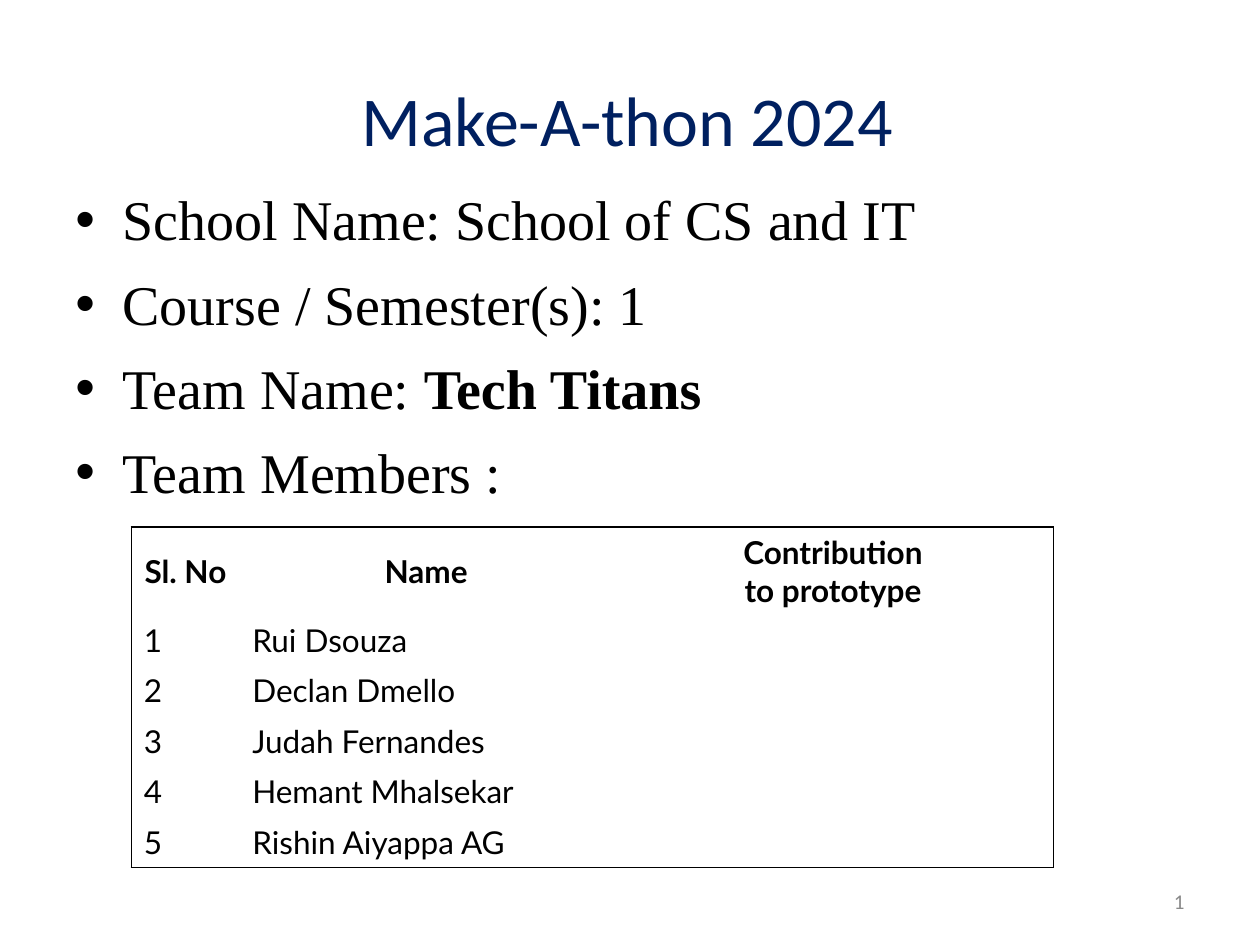
import pptx
import pptx.dml.color
import pptx.enum.text
import pptx.oxml
import pptx.util

Pt = pptx.util.Pt
ALIGN = pptx.enum.text.PP_ALIGN
ANCHOR = pptx.enum.text.MSO_ANCHOR
NAMESPACE = 'xmlns:a="http://schemas.openxmlformats.org/drawingml/2006/main"'

TITLE = {"name": "Calibri", "size": Pt(40), "color": "002060"}
BODY = {"name": "Times New Roman", "size": Pt(32), "color": "000000"}
NUMBER = {"name": "Calibri", "size": Pt(12), "color": "898989"}
CELL = {"name": "Lato", "size": Pt(18), "color": "000000"}

DETAILS = [
    ("School Name: School of CS and IT", ""),
    ("Course / Semester(s): 1", ""),
    ("Team Name: ", "Tech Titans"),
    ("Team Members :", ""),
]
HEADINGS = ["Sl. No", "Name", "Contribution\nto prototype"]
MEMBERS = ["Rui Dsouza", "Declan Dmello", "Judah Fernandes",
           "Hemant Mhalsekar", "Rishin Aiyappa AG"]


def rgb(color):
    return pptx.dml.color.RGBColor.from_string(color)


def add_span(para, text, look, bold=False):
    span = para.add_run()
    span.text = text
    for key, value in {**look, "bold": bold}.items():
        if key == "color":
            span.font.color.rgb = rgb(value)
        else:
            setattr(span.font, key, value)


def add_box(page, left, top, width, height, wrap=True):
    box = page.shapes.add_textbox(Pt(left), Pt(top), Pt(width), Pt(height))
    box.text_frame.word_wrap = wrap
    return box.text_frame


def add_line(page, place, text, look, align, anchor):
    """Add a text box that holds a single line."""
    frame = add_box(page, *place, wrap=False)
    frame.vertical_anchor = anchor
    para = frame.paragraphs[0]
    para.alignment = align
    add_span(para, text, look)


def add_bullets(page, place, items):
    frame = add_box(page, *place)
    for index, (label, strong) in enumerate(items):
        para = frame.add_paragraph() if index else frame.paragraphs[0]
        para.space_before = Pt(9.6)
        properties = para._p.get_or_add_pPr()
        properties.set("marL", str(Pt(27)))
        properties.set("indent", str(Pt(-27)))
        properties.append(pptx.oxml.parse_xml(f'<a:buFont {NAMESPACE} typeface="Arial"/>'))
        properties.append(pptx.oxml.parse_xml(f'<a:buChar {NAMESPACE} char="•"/>'))
        add_span(para, label, BODY)
        if strong:
            add_span(para, strong, BODY, bold=True)


def set_borders(cell, drawn):
    """Draw the named sides (L, R, T, B) and clear the others."""
    properties = cell._tc.get_or_add_tcPr()
    for position, side in enumerate("LRTB"):
        paint = ('<a:solidFill><a:srgbClr val="000000"/></a:solidFill>'
                 if side in drawn else "<a:noFill/>")
        properties.insert(position, pptx.oxml.parse_xml(
            f'<a:ln{side} {NAMESPACE} w="{Pt(1)}">{paint}</a:ln{side}>'))


def fill_cell(cell, text, heading):
    cell.fill.background()
    if heading:
        cell.vertical_anchor = ANCHOR.MIDDLE
    for index, line in enumerate(text.split("\n")):
        frame = cell.text_frame
        para = frame.add_paragraph() if index else frame.paragraphs[0]
        para.alignment = ALIGN.CENTER if heading else ALIGN.LEFT
        add_span(para, line, CELL, bold=heading)


def add_members(page, left, top, widths, heights, rows):
    """Add the team table, ruled only around its outside."""
    table = page.shapes.add_table(len(rows), len(widths), Pt(left), Pt(top),
                                  Pt(sum(widths)), Pt(sum(heights))).table
    table.first_row = table.horz_banding = False
    for column, width in zip(table.columns, widths):
        column.width = Pt(width)
    for row, height in zip(table.rows, heights):
        row.height = Pt(height)
    for r, texts in enumerate(rows):
        for c, text in enumerate(texts):
            edges = {"L": c == 0, "R": c == len(widths) - 1,
                     "T": r == 0, "B": r == len(rows) - 1}
            fill_cell(table.cell(r, c), text, heading=r == 0)
            set_borders(table.cell(r, c), [side for side in edges if edges[side]])


def main():
    deck = pptx.Presentation()
    deck.slide_width, deck.slide_height = Pt(720), Pt(540)
    page = deck.slides.add_slide(deck.slide_layouts[6])
    add_line(page, (199.4, 40.3, 321.8, 55.4), "Make-A-thon 2024", TITLE,
             ALIGN.LEFT, ANCHOR.TOP)
    add_bullets(page, (36, 102.2, 648, 372.2), DETAILS)
    add_line(page, (516, 500.5, 168, 28.8), "1", NUMBER, ALIGN.RIGHT, ANCHOR.MIDDLE)
    rows = [HEADINGS] + [[str(n), name, ""] for n, name in enumerate(MEMBERS, 1)]
    add_members(page, 75, 301, [62, 213, 252], [50.4] + [28.8] * len(MEMBERS), rows)
    deck.save("out.pptx")


if __name__ == "__main__":
    main()
